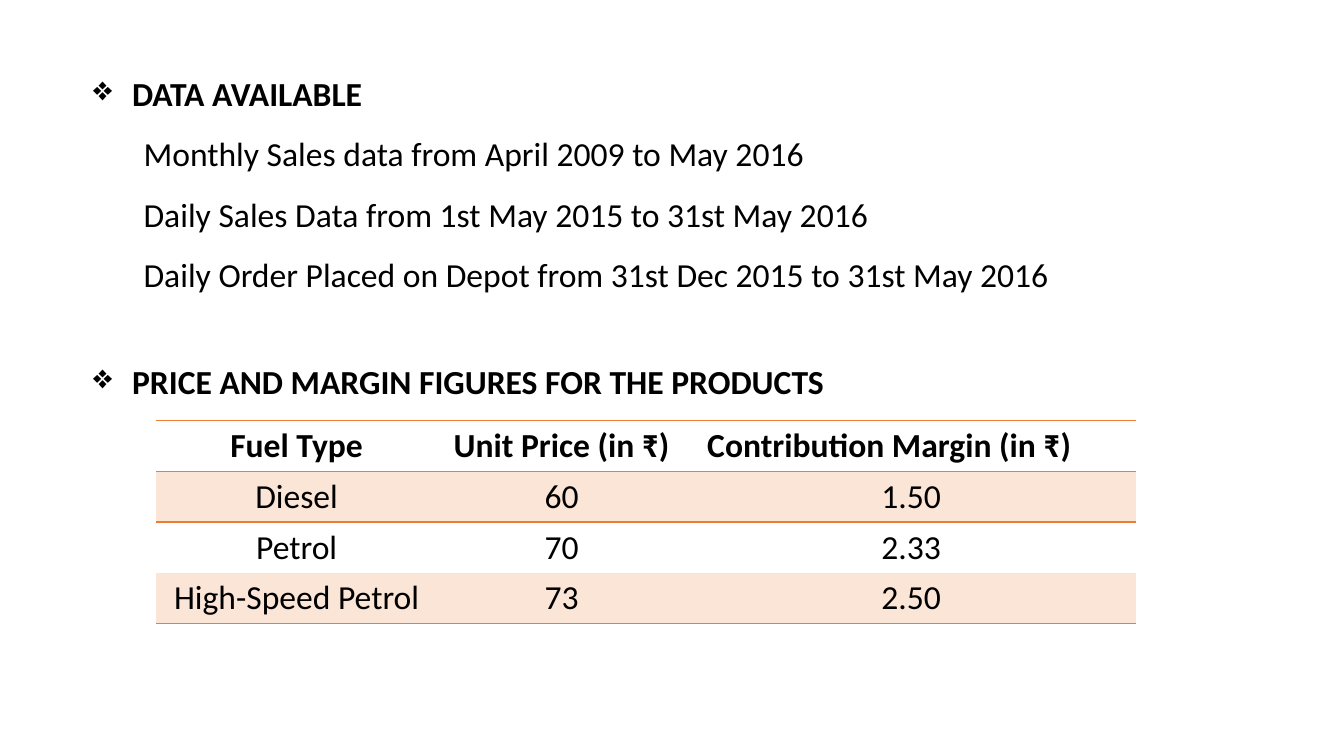
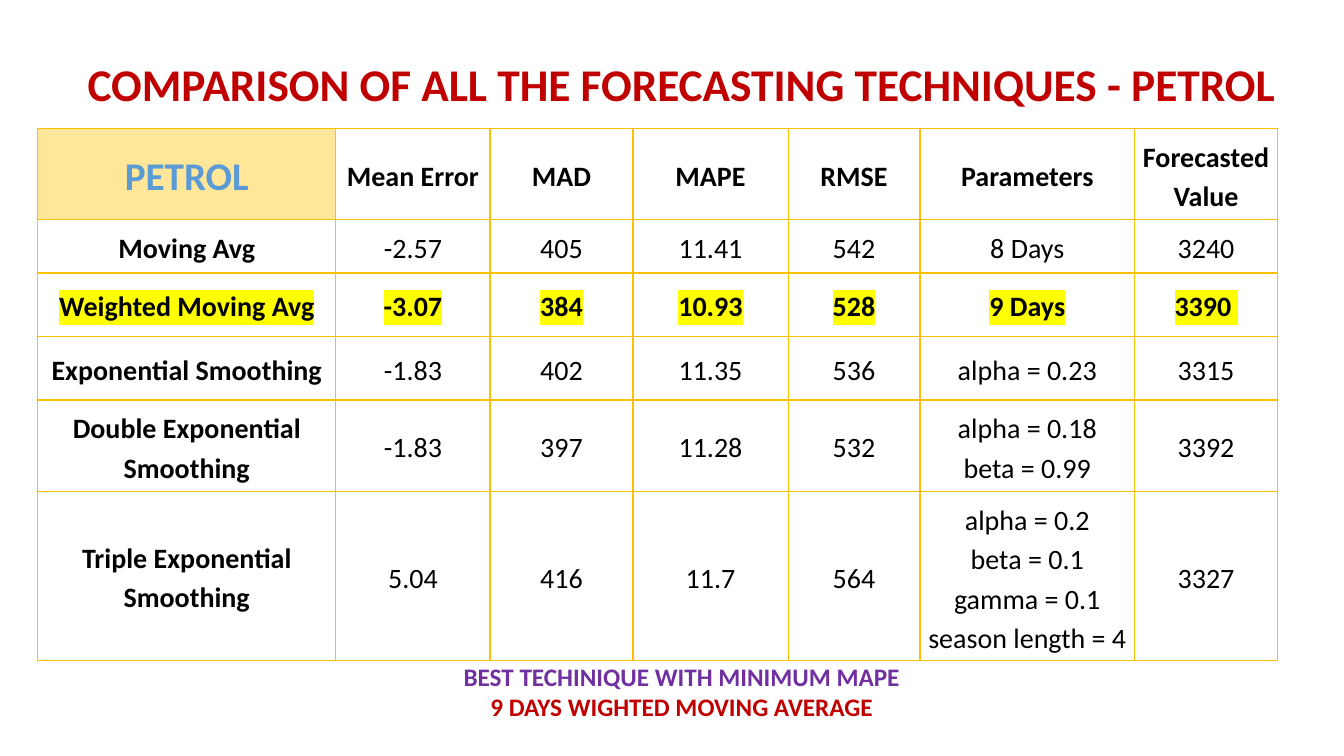
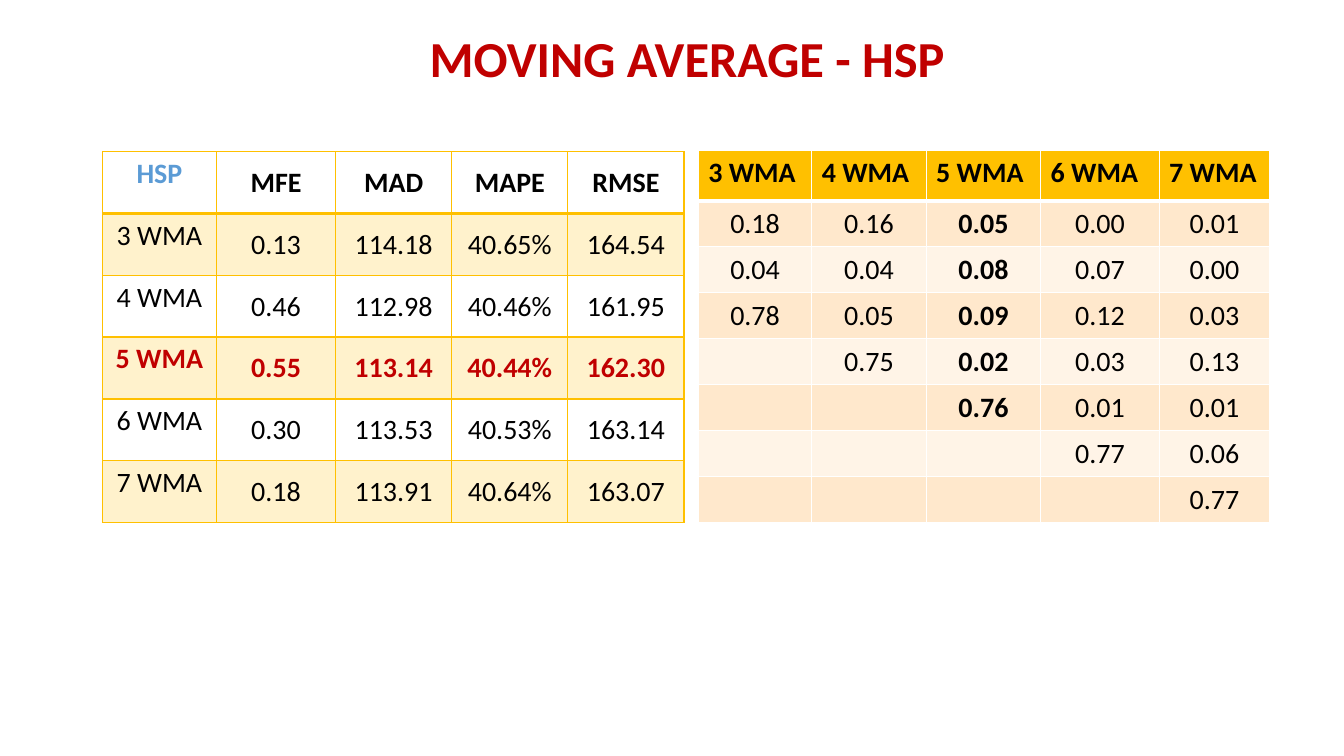
from dataclasses import dataclass, replace
from typing import NamedTuple, Optional

from lxml.etree import SubElement
from pptx import Presentation
from pptx.dml.color import RGBColor
from pptx.enum.text import MSO_ANCHOR, PP_ALIGN
from pptx.oxml.ns import qn
from pptx.util import Cm, Pt


@dataclass(frozen=True)
class Theme:
    """Colours, font and type sizes shared by all slides."""
    font: str = "Calibri"
    ink: str = "000000"
    red: str = "C00000"
    purple: str = "7030A0"
    blue: str = "5B9BD5"
    white: str = "FFFFFF"
    gold: str = "FFC000"
    gold_mid: str = "FFE699"
    gold_pale: str = "FFF2CC"
    orange: str = "ED7D31"
    orange_pale: str = "FBE5D6"
    band_dark: str = "FFE8CC"
    band_light: str = "FFF4E7"
    marker: str = "FFFF00"
    title: float = 36
    long_title: float = 32.4
    label: float = 28
    body: float = 24
    table: float = 20
    note: float = 18


THEME = Theme()
PLAIN_TABLE = "{2D5ABB26-0587-4C30-8999-92F81FD0307C}"


class Box(NamedTuple):
    """A region of the page in centimetres."""
    left: float
    top: float
    width: float
    height: float

    def lengths(self):
        """Return the four measures as lengths."""
        return [Cm(value) for value in self]


@dataclass(frozen=True)
class TextLook:
    """How the text of one paragraph is drawn."""
    size: float = THEME.table
    color: str = THEME.ink
    bold: bool = False
    align: PP_ALIGN = PP_ALIGN.CENTER
    spacing: float = 1.0
    highlight: Optional[str] = None


@dataclass(frozen=True)
class CellLook:
    """How one table cell is drawn; edges map sides to colour and points."""
    text: TextLook = TextLook()
    fill: Optional[str] = None
    anchor: MSO_ANCHOR = MSO_ANCHOR.MIDDLE
    margins: tuple = (0.25, 0.13, 0.25, 0.13)
    edges: tuple = ()


def frame_edges(color, bottom=1):
    """Return a border on all four sides, with its own bottom weight."""
    return (("L", color, 1), ("R", color, 1), ("T", color, 1), ("B", color, bottom))


def format_paragraph(paragraph, look):
    """Apply a text look to a paragraph and its runs."""
    paragraph.alignment = look.align
    paragraph.line_spacing = look.spacing
    for span in paragraph.runs:
        span.font.name = THEME.font
        span.font.size = Pt(look.size)
        span.font.bold = look.bold
        span.font.color.rgb = RGBColor.from_string(look.color)
        if look.highlight:
            properties = span.font._element
            mark = SubElement(properties, qn("a:highlight"))
            SubElement(mark, qn("a:srgbClr"), val=look.highlight)
            properties.find(qn("a:solidFill")).addnext(mark)


def add_text(page, box, lines, anchor=MSO_ANCHOR.TOP):
    """Place a text box with (text, look) lines and return its paragraphs."""
    frame = page.shapes.add_textbox(*box.lengths()).text_frame
    frame.word_wrap = True
    frame.vertical_anchor = anchor
    frame.text = "\n".join(text for text, _ in lines)
    for paragraph, (_, look) in zip(frame.paragraphs, lines):
        format_paragraph(paragraph, look)
    return frame.paragraphs


def add_title(page, box, text, size):
    """Place a red, bold, centred slide title."""
    look = TextLook(size, THEME.red, True, spacing=0.9)
    add_text(page, box, [(text, look)], MSO_ANCHOR.MIDDLE)


def format_cell(cell, text, look):
    """Fill one table cell with text and apply its look."""
    cell.text_frame.text = text
    for paragraph in cell.text_frame.paragraphs:
        format_paragraph(paragraph, look.text)
    cell.vertical_anchor = look.anchor
    (cell.margin_left, cell.margin_top,
     cell.margin_right, cell.margin_bottom) = [Cm(value) for value in look.margins]
    properties = cell._tc.get_or_add_tcPr()
    for side, color, points in look.edges:
        line = SubElement(properties, qn(f"a:ln{side}"), w=str(Pt(points)))
        SubElement(SubElement(line, qn("a:solidFill")), qn("a:srgbClr"), val=color)
    if look.fill:
        cell.fill.solid()
        cell.fill.fore_color.rgb = RGBColor.from_string(look.fill)
    else:
        cell.fill.background()


def add_grid(page, box, columns, heights, rows, look_at):
    """Place a table whose columns and rows share the box by weight."""
    shape = page.shapes.add_table(len(rows), len(columns), *box.lengths())
    table = shape.table
    table._tbl.tblPr.find(qn("a:tableStyleId")).text = PLAIN_TABLE
    for column, weight in zip(table.columns, columns):
        column.width = Cm(box.width * weight / sum(columns))
    for row, weight in zip(table.rows, heights):
        row.height = Cm(box.height * weight / sum(heights))
    for r, texts in enumerate(rows):
        for c, text in enumerate(texts):
            format_cell(table.cell(r, c), text, look_at(r, c))


def add_bullet(paragraph, indent):
    """Give a paragraph a hanging diamond bullet."""
    properties = paragraph._p.get_or_add_pPr()
    properties.set("marL", str(Cm(indent)))
    properties.set("indent", str(-Cm(indent)))
    SubElement(properties, qn("a:buChar"), char="❖")


def add_outline(page, box):
    """Place the two bulleted headings and the data list."""
    detail = TextLook(THEME.body, align=PP_ALIGN.JUSTIFY, spacing=1.5)
    heading = replace(detail, bold=True)
    paragraphs = add_text(page, box, [
        ("DATA AVAILABLE", heading),
        ("Monthly Sales data from April 2009 to May 2016", detail),
        ("Daily Sales Data from 1st May 2015 to 31st May 2016", detail),
        ("Daily Order Placed on Depot from 31st Dec 2015 to 31st May 2016", detail),
        ("PRICE AND MARGIN FIGURES FOR THE PRODUCTS", heading),
    ])
    first, *details, last = paragraphs
    last.space_before = Pt(33)
    for paragraph in (first, last):
        add_bullet(paragraph, 0.98)
    for paragraph in details:
        paragraph.level = 1
        properties = paragraph._p.get_or_add_pPr()
        properties.set("marL", str(Cm(1.27)))
        properties.set("indent", "0")


def add_price_table(page, box):
    """Place the price and margin table with its ruled header."""
    rows = [
        ("Fuel Type", "Unit Price (in ₹)", "Contribution Margin (in ₹)"),
        ("Diesel", "60", "1.50"),
        ("Petrol", "70", "2.33"),
        ("High-Speed Petrol", "73", "2.50"),
    ]
    top, bottom = ("T", THEME.orange, 1), ("B", THEME.orange, 1)
    edges = {0: (top, bottom), 1: (top,), 3: (bottom,)}

    def look_at(r, c):
        """Return the look of a price cell."""
        right = 1.35 if (r, c) == (0, 2) else 0.25
        return CellLook(TextLook(THEME.body, bold=r == 0),
                        THEME.orange_pale if r % 2 else None,
                        margins=(0.25, 0.13, right, 0.13),
                        edges=edges.get(r, ()))

    add_grid(page, box, (2.77, 2.45, 4.43), (1,) * 4, rows, look_at)


def add_comparison_table(page, box):
    """Place the table of forecasting techniques with the best one marked."""
    rows = [
        ("PETROL", "Mean Error", "MAD", "MAPE", "RMSE", "Parameters", "Forecasted\nValue"),
        ("Moving Avg", "-2.57", "405", "11.41", "542", "8 Days", "3240"),
        ("Weighted Moving Avg", "-3.07", "384", "10.93", "528", "9 Days", "3390 "),
        ("Exponential Smoothing", "-1.83", "402", "11.35", "536", "alpha = 0.23", "3315"),
        ("Double Exponential Smoothing", "-1.83", "397", "11.28", "532",
         "alpha = 0.18\nbeta = 0.99", "3392"),
        ("Triple Exponential Smoothing", "5.04", "416", "11.7", "564",
         "alpha = 0.2\nbeta = 0.1\ngamma = 0.1\nseason length = 4", "3327"),
    ]
    best = 2

    def look_at(r, c):
        """Return the look of a comparison cell."""
        text = TextLook(bold=r in (0, best) or c == 0, spacing=1.15,
                        highlight=THEME.marker if r == best else None)
        corner = r == c == 0
        if corner:
            text = replace(text, size=THEME.label, color=THEME.blue)
        return CellLook(text, THEME.gold_mid if corner else None,
                        margins=(0.18,) * 4, edges=frame_edges(THEME.gold))

    add_grid(page, box, (2.96, 1.53, 1.42, 1.54, 1.31, 2.13, 1.42),
             (2.3, 1.34, 1.6, 1.6, 2.3, 4.26), rows, look_at)


def add_error_table(page, box):
    """Place the error measures of each average with the best row in red."""
    rows = [
        ("HSP", "MFE", "MAD", "MAPE", "RMSE"),
        ("3 WMA", "0.13", "114.18", "40.65%", "164.54"),
        ("4 WMA", "0.46", "112.98", "40.46%", "161.95"),
        ("5 WMA", "0.55", "113.14", "40.44%", "162.30"),
        ("6 WMA", "0.30", "113.53", "40.53%", "163.14"),
        ("7 WMA", "0.18", "113.91", "40.64%", "163.07"),
    ]
    best = 3

    def look_at(r, c):
        """Return the look of an error cell."""
        color = THEME.blue if r == c == 0 else THEME.red if r == best else THEME.ink
        look = CellLook(TextLook(color=color, bold=r in (0, best)),
                        THEME.gold_pale if r % 2 else None,
                        edges=frame_edges(THEME.gold, 1 if r else 2))
        if c == 0:
            return replace(look, anchor=MSO_ANCHOR.TOP)
        return replace(look, margins=(0.02, 0.02, 0.02, 0))

    add_grid(page, box, (1.13, 1.18, 1.15, 1.15, 1.15), (1,) * 6, rows, look_at)


def add_weight_table(page, box):
    """Place the weights of each average with the best column in bold."""
    rows = [
        ("3 WMA", "4 WMA", "5 WMA", "6 WMA", "7 WMA"),
        ("0.18", "0.16", "0.05", "0.00", "0.01"),
        ("0.04", "0.04", "0.08", "0.07", "0.00"),
        ("0.78", "0.05", "0.09", "0.12", "0.03"),
        ("", "0.75", "0.02", "0.03", "0.13"),
        ("", "", "0.76", "0.01", "0.01"),
        ("", "", "", "0.77", "0.06"),
        ("", "", "", "", "0.77"),
    ]
    best = 2

    def look_at(r, c):
        """Return the look of a weight cell."""
        if r == 0:
            return CellLook(TextLook(bold=True, align=PP_ALIGN.LEFT), THEME.gold,
                            MSO_ANCHOR.TOP, edges=frame_edges(THEME.white, 3))
        return CellLook(TextLook(bold=c == best),
                        THEME.band_dark if r % 2 else THEME.band_light,
                        margins=(0.02, 0.02, 0.02, 0), edges=frame_edges(THEME.white))

    add_grid(page, box, (1.13, 1.14, 1.14, 1.18, 1.1),
             (0.5,) + (0.46,) * 7, rows, look_at)


def build_data_slide(page):
    """Build the slide on available data and prices."""
    add_outline(page, Box(2.1, 1.2, 29.67, 9.1))
    add_price_table(page, Box(3.93, 10.6, 24.7, 5.1))


def build_comparison_slide(page):
    """Build the slide comparing the techniques for petrol."""
    add_title(page, Box(1.7, 1.1, 30.96, 2.16),
              "COMPARISON OF ALL THE FORECASTING TECHNIQUES - PETROL", THEME.long_title)
    note = TextLook(THEME.note, THEME.purple, True)
    add_text(page, Box(8.05, 16.54, 18.26, 1.8), [
        ("BEST TECHINIQUE WITH MINIMUM MAPE", note),
        ("9 DAYS WIGHTED MOVING AVERAGE", replace(note, color=THEME.red)),
    ])
    add_comparison_table(page, Box(0.95, 3.23, 31.25, 13.4))


def build_average_slide(page):
    """Build the slide on moving averages."""
    add_error_table(page, Box(2.58, 3.82, 14.66, 9.35))
    add_weight_table(page, Box(17.6, 3.8, 14.4, 9.37))
    add_title(page, Box(9.55, 0.46, 15.54, 2.16), "MOVING AVERAGE - HSP", THEME.title)


def main():
    """Build the deck and save it."""
    deck = Presentation()
    deck.slide_width, deck.slide_height = Cm(33.87), Cm(19.05)
    for build in (build_data_slide, build_comparison_slide, build_average_slide):
        build(deck.slides.add_slide(deck.slide_layouts[6]))
    deck.save("out.pptx")


if __name__ == "__main__":
    main()
